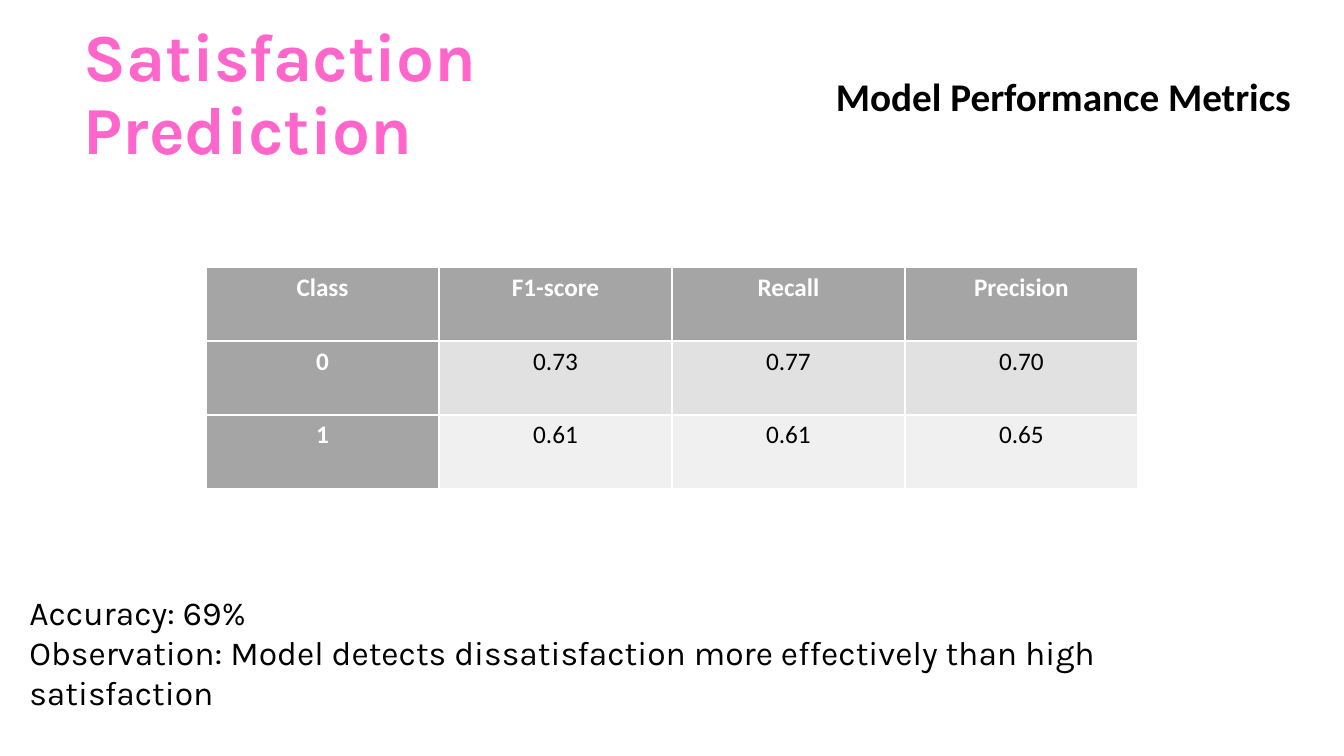
from pptx import Presentation
from pptx.dml.color import RGBColor
from pptx.enum.text import MSO_ANCHOR, MSO_AUTO_SIZE, PP_ALIGN
from pptx.util import Pt

MIDDLE, TOP = MSO_ANCHOR.MIDDLE, MSO_ANCHOR.TOP
CENTER = PP_ALIGN.CENTER
NO_FIT, GROW = MSO_AUTO_SIZE.NONE, MSO_AUTO_SIZE.SHAPE_TO_FIT_TEXT

PINK = RGBColor(0xFF, 0x66, 0xCC)
BLACK = RGBColor(0x00, 0x00, 0x00)
WHITE = RGBColor(0xFF, 0xFF, 0xFF)
GREY = RGBColor(0xA5, 0xA5, 0xA5)
ROW_FILLS = [GREY, RGBColor(0xE1, 0xE1, 0xE1), RGBColor(0xF0, 0xF0, 0xF0)]

METRICS = [
    ["Class", "F1-score", "Recall", "Precision"],
    ["0", "0.73", "0.77", "0.70"],
    ["1", "0.61", "0.61", "0.65"],
]


def set_font(paragraph, name, size, color, bold):
    font = paragraph.font
    font.name, font.size, font.bold = name, Pt(size), bold
    font.color.rgb = color


def add_text(box, lines, name, size, color, bold=False, anchor=TOP, fit=GROW):
    """Add a wrapping text box at box (left, top, width, height in points)."""
    frame = slide.shapes.add_textbox(*map(Pt, box)).text_frame
    frame.word_wrap = True
    frame.auto_size = fit
    frame.vertical_anchor = anchor
    frame.text = "\n".join(lines)
    for paragraph in frame.paragraphs:
        set_font(paragraph, name, size, color, bold)
    return frame


prs = Presentation()
prs.slide_width, prs.slide_height = Pt(960), Pt(540)
slide = prs.slides.add_slide(prs.slide_layouts[6])

title = add_text((52.8, 16.6, 530.4, 104.4), ["Satisfaction Prediction"],
                 "Karla", 48, PINK, bold=True, anchor=MIDDLE, fit=NO_FIT)
title.paragraphs[0].line_spacing = 0.9

add_text((590, 48.2, 344, 41.2), ["Model Performance Metrics"],
         "Calibri", 28, BLACK, bold=True)

# The default table style draws the white grid and the thicker header rule.
metrics_table = slide.shapes.add_table(
    len(METRICS), len(METRICS[0]), Pt(147.2), Pt(190.8), Pt(665.6), Pt(158.4)).table
metrics_table.first_col = True
for row, values in enumerate(METRICS):
    for col, value in enumerate(values):
        is_header = row == 0 or col == 0
        cell = metrics_table.cell(row, col)
        cell.text = value
        cell.fill.solid()
        cell.fill.fore_color.rgb = GREY if is_header else ROW_FILLS[row]
        paragraph = cell.text_frame.paragraphs[0]
        paragraph.alignment = CENTER
        set_font(paragraph, "Calibri", 18, WHITE if is_header else BLACK, is_header)

add_text((13.9, 419, 813.6, 65.5),
         ["Accuracy: 69%",
          "Observation: Model detects dissatisfaction more effectively "
          "than high satisfaction"],
         "Karla", 24, BLACK)

prs.save("out.pptx")
